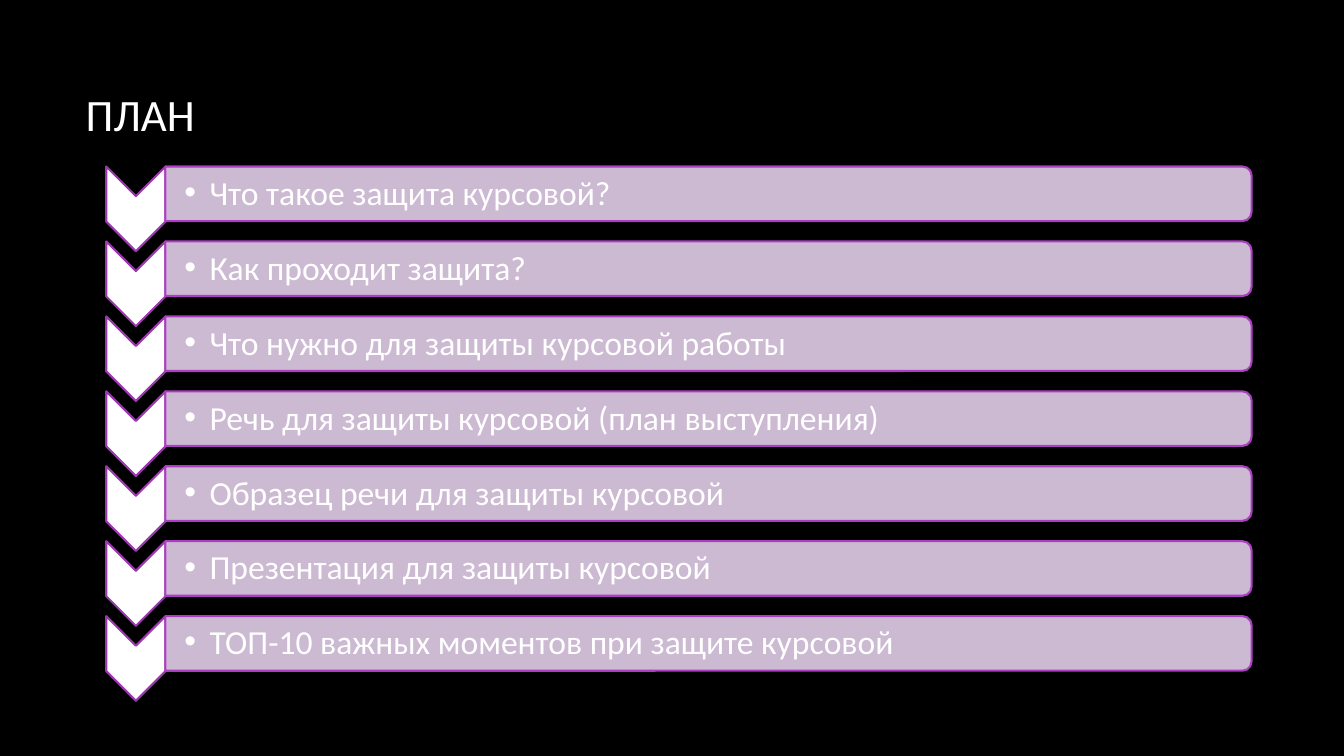
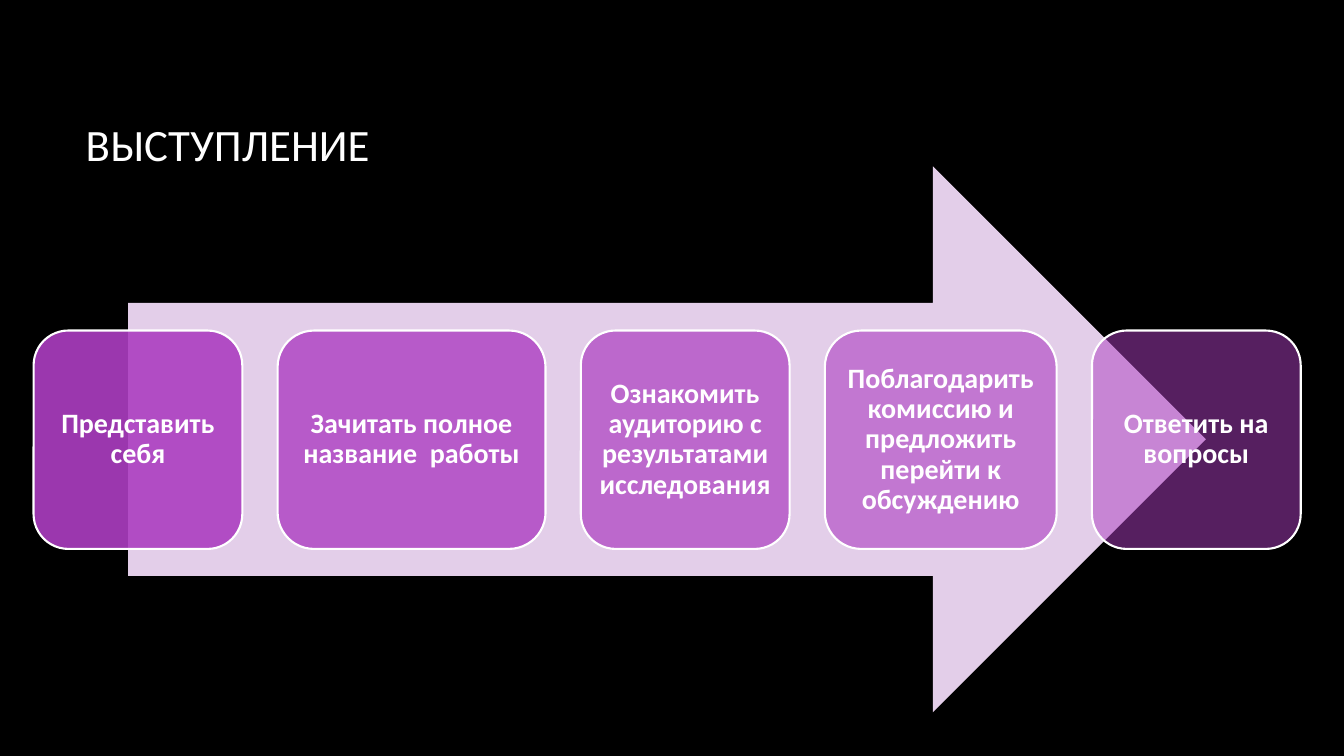
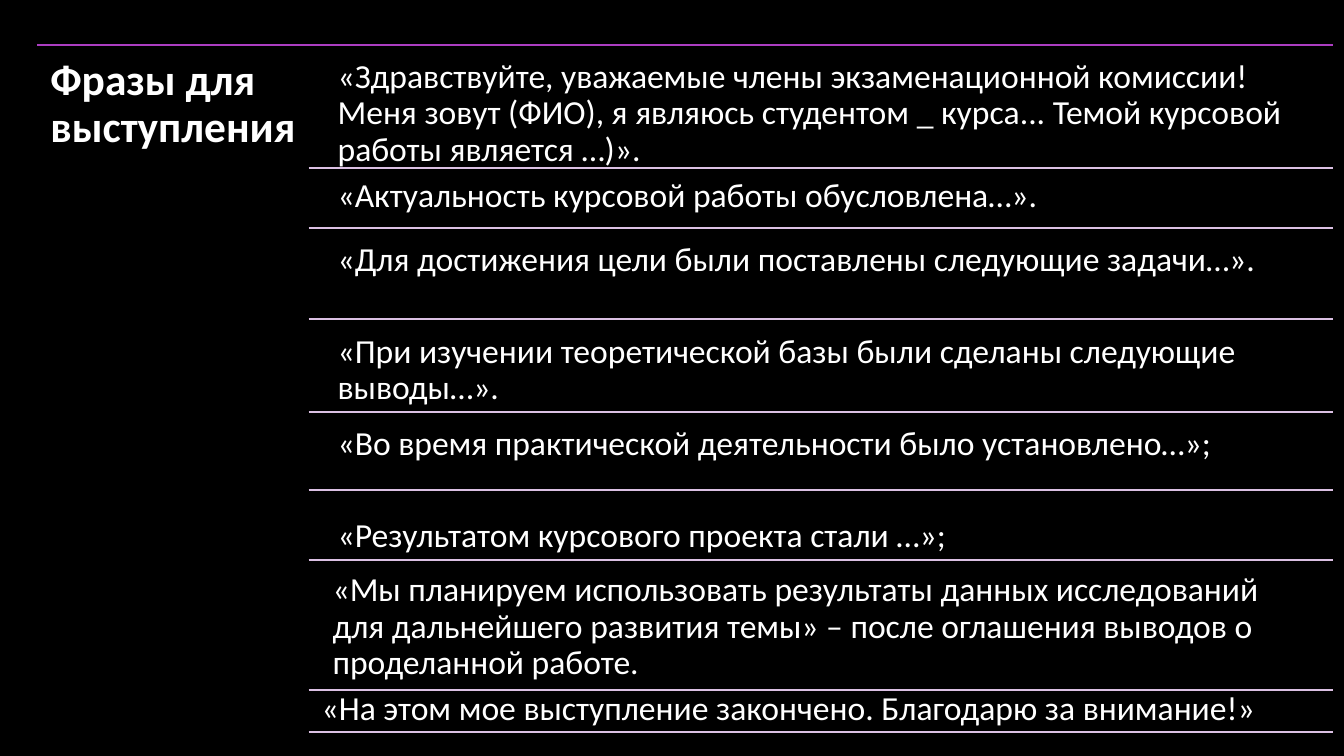
import pptx
import pptx.dml.color
import pptx.enum.shapes
import pptx.enum.text
import pptx.oxml.ns
import pptx.util
from lxml import etree

SHAPE = pptx.enum.shapes.MSO_SHAPE
ALIGN = pptx.enum.text.PP_ALIGN
ANCHOR = pptx.enum.text.MSO_ANCHOR
qn = pptx.oxml.ns.qn

BLACK, WHITE = "000000", "FFFFFF"
PURPLE, DEEP, PALE, LILAC = "AC3EC1", "9C38AF", "E3CEE9", "DBC0E3"
CELL = 6  # points; the slide is a grid of 160 columns by 90 rows


def rgb(value):
    return pptx.dml.color.RGBColor.from_string(value)


def cells(n):
    return pptx.util.Pt(n * CELL)


class Deck:
    """Shared style and the slide being built; lengths are grid cells."""

    font = "Calibri"
    line_width = 1.5

    def __init__(self):
        self.prs = pptx.Presentation()
        self.prs.slide_width, self.prs.slide_height = cells(160), cells(90)
        fill = self.prs.slide_master.background.fill
        fill.solid()
        fill.fore_color.rgb = rgb(BLACK)
        self.slide = None

    def new_slide(self, layout):
        self.slide = self.prs.slides.add_slide(
            self.prs.slide_layouts.get_by_name(layout))

    def place(self, sp, x, y, w, h):
        sp.left, sp.top, sp.width, sp.height = map(cells, (x, y, w, h))

    def set_text(self, sp, text, size, bold=False, align=ALIGN.LEFT,
                 anchor=ANCHOR.TOP, insets=(1.2, 0.6, 1.2, 0.6), spacing=0.9):
        tf = sp.text_frame
        tf.text = text
        tf.word_wrap = True
        tf.auto_size = pptx.enum.text.MSO_AUTO_SIZE.NONE
        tf.vertical_anchor = anchor
        (tf.margin_left, tf.margin_top,
         tf.margin_right, tf.margin_bottom) = map(cells, insets)
        for p in tf.paragraphs:
            p.alignment = align
            p.line_spacing = spacing
            p.space_before = pptx.util.Pt(0)
            for r in p.runs:
                r.font.name = self.font
                r.font.size = pptx.util.Pt(size)
                r.font.bold = bold
                r.font.color.rgb = rgb(WHITE)

    def title(self, text, box, size=32, **style):
        sp = self.slide.shapes.title
        self.place(sp, *box)
        self.set_text(sp, text, size, **style)

    def bullets(self, items, box, pitch, insets):
        sp = self.slide.placeholders[1]
        self.place(sp, *box)
        height = 26
        self.set_text(sp, "\n".join(items), 24, insets=insets,
                      spacing=pptx.util.Pt(height))
        for p in sp.text_frame.paragraphs:
            p.space_after = pptx.util.Pt(pitch * CELL - height)
            pPr = p._p.get_or_add_pPr()
            pPr.set("marL", str(cells(3)))
            pPr.set("indent", str(cells(-3)))

    def text(self, text, box, **style):
        sp = self.slide.shapes.add_textbox(*map(cells, box))
        self.set_text(sp, text, 24, **style)

    def shape(self, kind, box, fill, line=None, opacity=100, turned=False):
        x, y, w, h = box
        if turned:  # a quarter turn swaps the sides around the centre
            x, y, w, h = x + (w - h) / 2, y + (h - w) / 2, h, w
        sp = self.slide.shapes.add_shape(kind, *map(cells, (x, y, w, h)))
        sp.rotation = 90 if turned else 0
        sp.shadow.inherit = False
        sp.fill.solid()
        sp.fill.fore_color.rgb = rgb(fill)
        if opacity < 100:
            color = sp.element.spPr.find(qn("a:solidFill"))[0]
            etree.SubElement(color, qn("a:alpha"), val=str(opacity * 1000))
        if line:
            sp.line.color.rgb = rgb(line)
            sp.line.width = pptx.util.Pt(self.line_width)
        else:
            sp.line.fill.background()
        return sp

    def rule(self, x1, x2, y, color):
        c = self.slide.shapes.add_connector(
            pptx.enum.shapes.MSO_CONNECTOR.STRAIGHT,
            *map(cells, (x1, y, x2, y)))
        c.line.color.rgb = rgb(color)
        c.line.width = pptx.util.Pt(self.line_width)
        etree.SubElement(c.element.spPr, qn("a:effectLst"))


def plan(deck):
    deck.new_slide("Title and Content")
    deck.title("ПЛАН", (9, 8, 133, 11.8), anchor=ANCHOR.MIDDLE)
    items = [
        "Что такое защита курсовой?",
        "Как проходит защита?",
        "Что нужно для защиты курсовой работы",
        "Речь для защиты курсовой (план выступления)",
        "Образец речи для защиты курсовой",
        "Презентация для защиты курсовой",
        "ТОП-10 важных моментов при защите курсовой",
    ]
    top, pitch = 19.83, 8.92
    # Chevrons and bars
    for i in range(len(items)):
        y = top + i * pitch
        deck.shape(SHAPE.CHEVRON, (12.65, y, 7.05, 10.08), WHITE, DEEP,
                   turned=True)
        deck.shape(SHAPE.ROUND_2_SAME_RECTANGLE, (19.7, y, 129.3, 6.5),
                   PALE, PURPLE, opacity=90, turned=True)
    # The list lies over the bars, one item on each
    body = deck.slide.placeholders[1].element
    body.getparent().append(body)
    deck.bullets(items, (19.7, top, 129, len(items) * pitch), pitch,
                 insets=(2.25, 1.1, 0.2, 0.2))


def talk(deck):
    deck.new_slide("Title Only")
    deck.title("ВЫСТУПЛЕНИЕ", (9, 8, 133, 19.1), anchor=ANCHOR.MIDDLE)
    deck.shape(SHAPE.RIGHT_ARROW, (15.25, 19.8, 128.3, 65), PALE)
    # Steps, each fainter than the one before
    steps = [
        ("Представить себя", 24.85),
        ("Зачитать полное название  работы", 31.9),
        ("Ознакомить аудиторию с результатами исследования", 24.85),
        ("Поблагодарить комиссию и предложить перейти к обсуждению", 27.6),
        ("Ответить на вопросы", 24.85),
    ]
    x, gap = 4, 4.2
    for i, (text, width) in enumerate(steps):
        sp = deck.shape(SHAPE.ROUNDED_RECTANGLE, (x, 39.35, width, 26),
                        PURPLE, WHITE, opacity=90 - 10 * i)
        deck.set_text(sp, text, 20, bold=True, align=ALIGN.CENTER,
                      anchor=ANCHOR.MIDDLE, insets=(0.95,) * 4)
        x += width + gap


def phrases(deck):
    deck.new_slide("Title Only")
    left, right, top = 4.45, 158.65, 5.4
    deck.rule(left, right, top, PURPLE)
    deck.title("Фразы для выступления", (left, top, 33, 82.4), size=31,
               bold=True, insets=(1.55,) * 4)
    # Phrase, its left and top, and the rule below it
    rows = [
        ("«Здравствуйте, уважаемые члены экзаменационной комиссии! Меня "
         "зовут (ФИО), я являюсь студентом _ курса... Темой курсовой "
         "работы является …)».", 39, 5.9, 20),
        ("«Актуальность курсовой работы обусловлена…».", 39, 20, 27.1),
        ("«Для достижения цели были поставлены следующие задачи…».",
         39, 27.7, 38),
        ("«При изучении теоретической базы были сделаны следующие "
         "выводы…».", 39, 38.6, 49),
        ("«Во время практической деятельности было установлено…»;",
         39, 49.6, 58.3),
        ("«Результатом курсового проекта стали …»;", 39, 60.5, 66.7),
        ("«Мы планируем использовать результаты данных исследований для "
         "дальнейшего развития темы» – после оглашения выводов о "
         "проделанной работе.", 38.4, 67, 82.1),
        ("«На этом мое выступление закончено. Благодарю за внимание!»",
         37.1, 81.1, 87.1),
    ]
    for text, x, y, below in rows:
        deck.text(text, (x, y, 119.5, min(10.4, below - y)),
                  insets=(1.2,) * 4)
        deck.rule(36.75, right, below, LILAC)


def main():
    deck = Deck()
    for build in (plan, talk, phrases):
        build(deck)
    deck.prs.save("out.pptx")


if __name__ == "__main__":
    main()
